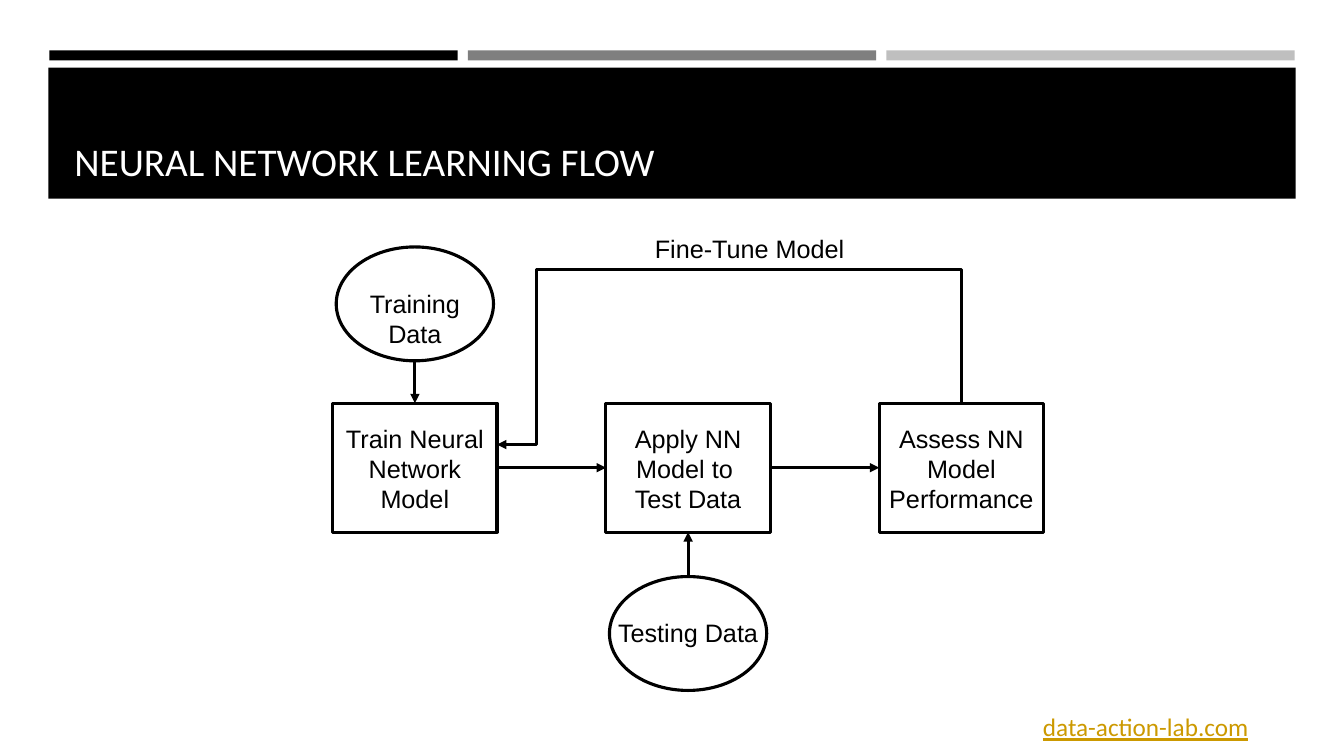
from pptx import Presentation, util as u
from pptx.dml.color import RGBColor
from pptx.enum import shapes, text
from pptx.oxml.ns import qn
from lxml import etree

INK, PAPER, GOLD = "000000", "FFFFFF", "CC9900"
INCH = u.Inches

deck = Presentation()
deck.slide_width, deck.slide_height = INCH(13.33), INCH(7.5)
page = deck.slides.add_slide(deck.slide_layouts[6])


def add_block(kind, left, top, width, height, fill, outlined=False):
    block = page.shapes.add_shape(kind, *map(INCH, (left, top, width, height)))
    block.shadow.inherit = False
    block.fill.solid()
    block.fill.fore_color.rgb = RGBColor.from_string(fill)
    if outlined:
        block.line.color.rgb = RGBColor.from_string(INK)
        block.line.width = u.Pt(2.25)
    else:
        block.line.fill.background()
    return block


def add_label(words, left, top, width, height, align="CENTER", size=18,
              font="Arial", color=INK, anchor="TOP", inset=0.08):
    box = page.shapes.add_textbox(*map(INCH, (left, top, width, height)))
    frame = box.text_frame
    frame.word_wrap = True
    frame.margin_left = frame.margin_right = INCH(inset)
    frame.vertical_anchor = text.MSO_ANCHOR[anchor]
    para = frame.paragraphs[0]
    para.alignment = text.PP_ALIGN[align]
    for number, line in enumerate(words.split("\n")):
        if number:
            para.add_line_break()
        span = para.add_run()
        span.text = line
        span.font.size, span.font.name = u.Pt(size), font
        span.font.color.rgb = RGBColor.from_string(color)
    return span


RECT, OVAL = shapes.MSO_SHAPE.RECTANGLE, shapes.MSO_SHAPE.OVAL

# Header: three bars above the title band
for column, shade in enumerate((INK, "7F7F7F", "BFBFBF")):
    add_block(RECT, 0.49 + 4.15 * column, 0.5, 4.05, 0.1, shade)
add_block(RECT, 0.48, 0.67, 12.37, 1.3, INK)
add_label("NEURAL NETWORK LEARNING FLOW", 0.64, 0.77, 12.06, 1.11, "LEFT",
          28, "Calibri", PAPER, "BOTTOM", 0.1)

# Footer
site = add_label("data-action-lab.com", 9.88, 7.01, 2.6, 0.4, "RIGHT",
                 font="Calibri", color=GOLD, inset=0.1)
site.font.underline = True

# Steps: three equally spaced boxes
STEP_LEFT, STEP_TOP, STEP_W, STEP_H, PITCH = 3.3, 4, 1.63, 1.28, 2.71
step_x = [STEP_LEFT + PITCH * column for column in range(3)]
step_mid = [x + STEP_W / 2 for x in step_x]
train, apply_model, assess = [
    add_block(RECT, x, STEP_TOP, STEP_W, STEP_H, PAPER, True) for x in step_x]

# Data sources: one above the first step, one below the second
OVAL_W, OVAL_H = 1.56, 1.13
TRAINING_TOP, TESTING_TOP = 2.45, 5.72
for middle, top in zip(step_mid, (TRAINING_TOP, TESTING_TOP)):
    add_block(OVAL, middle - OVAL_W / 2, top, OVAL_W, OVAL_H, PAPER, True)

# Straight arrows: (start point, start step, end step, end side)
STRAIGHT, ELBOW = shapes.MSO_CONNECTOR.STRAIGHT, shapes.MSO_CONNECTOR.ELBOW
arrows = []
for x, y, source, target, side in (
        (step_mid[0], TRAINING_TOP + OVAL_H, None, train, 0),
        (step_mid[1], TESTING_TOP, None, apply_model, 2),
        (0, 0, train, apply_model, 1),
        (0, 0, apply_model, assess, 1)):
    arrow = page.shapes.add_connector(STRAIGHT, *map(INCH, (x, y, x, y)))
    if source:
        arrow.begin_connect(source, 3)
    arrow.end_connect(target, side)
    arrows.append(arrow)

# Feedback arrow: a four-part elbow, turned so it leaves the last step upwards
start_x, end_x, end_y = step_mid[2], step_x[0] + STEP_W, 4.41
drop, reach = end_y - STEP_TOP, start_x - end_x
mid_x, mid_y = (start_x + end_x) / 2, (STEP_TOP + end_y) / 2
feedback = page.shapes.add_connector(ELBOW, *map(INCH, (
    mid_x + drop / 2, mid_y + reach / 2, mid_x - drop / 2, mid_y - reach / 2)))
properties = feedback._element.spPr
properties.find(qn("a:xfrm")).set("rot", str(270 * 60000))
geometry = properties.find(qn("a:prstGeom"))
geometry.set("prst", "bentConnector4")
guides = geometry.find(qn("a:avLst"))
RISE_Y, TURN_X = 2.67, 5.32
for name, share in (("adj1", (RISE_Y - STEP_TOP) / drop),
                    ("adj2", (start_x - TURN_X) / reach)):
    etree.SubElement(guides, qn("a:gd"), name=name,
                     fmla=f"val {round(share * 100000)}")

# Line style and arrowheads
for arrow in arrows + [feedback]:
    arrow.line.color.rgb = RGBColor.from_string(INK)
    arrow.line.width = u.Pt(2.25)
    outline = arrow._element.spPr.find(qn("a:ln"))
    etree.SubElement(outline, qn("a:tailEnd"), type="triangle")
    etree.SubElement(arrow._element.spPr, qn("a:effectLst"))

# Labels
for x, words in zip(step_x, ("Train Neural Network Model",
                             "Apply NN Model to \nTest Data",
                             "Assess NN Model Performance")):
    add_label(words, x, 4.15, STEP_W, 1.01)
add_label("Training Data", step_x[0], 2.81, STEP_W, 0.4)
add_label("Testing Data", step_x[1], 6.08, STEP_W, 0.4)
add_label("Fine-Tune Model", 5.12, 2.27, 4.63, 0.4)

deck.save("out.pptx")
